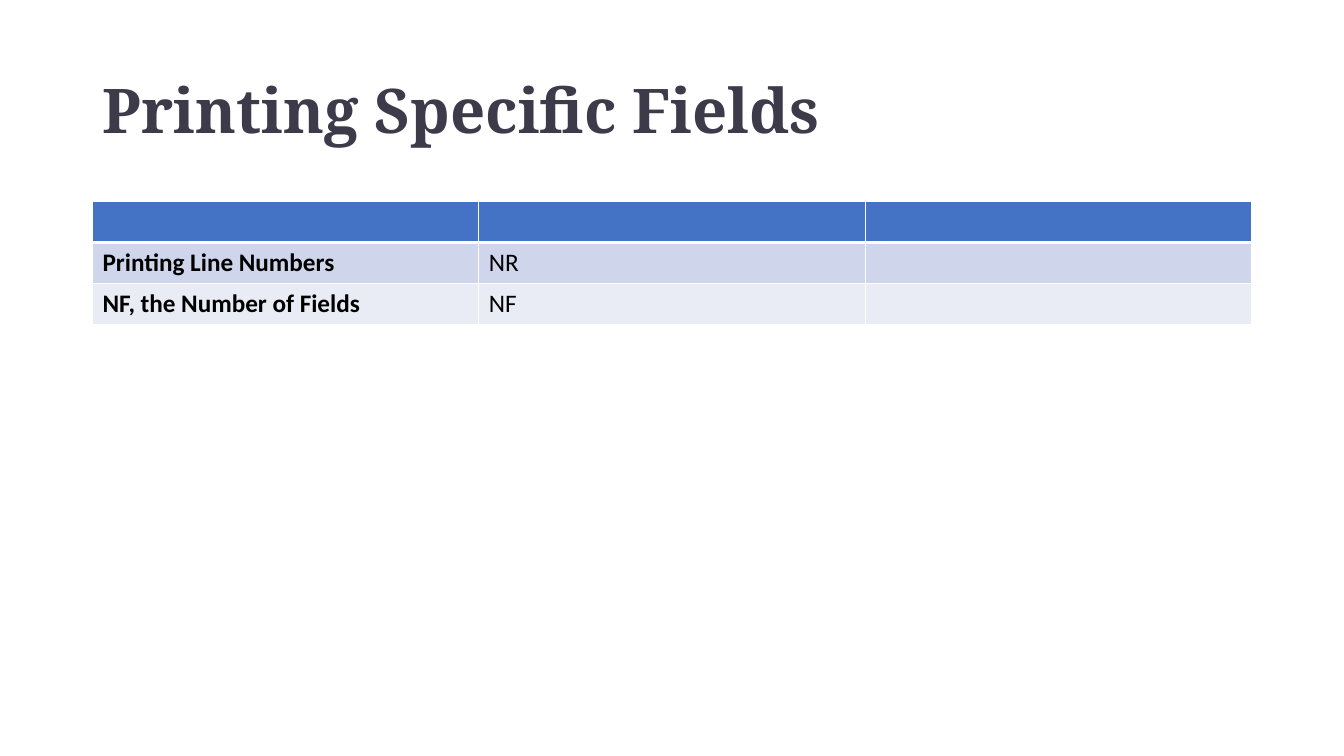
import pptx
import pptx.util
import pptx.dml.color
import pptx.enum.text
import pptx.oxml
from pptx.util import Cm

LEFT, WIDTH = Cm(2.33), Cm(29.21)
ROW = Cm(1.03)
WHITE = "FFFFFF"
FILLS = ["4472C4", "CFD5EA", "E9EBF5"]
ROWS = [
    ["", "", ""],
    ["Printing Line Numbers", "NR", ""],
    ["NF, the Number of Fields", "NF", ""],
]


def tint(item, color):
    item.rgb = pptx.dml.color.RGBColor.from_string(color)


def add_run(para, text, font, size, color, bold):
    run = para.add_run()
    run.text = text
    run.font.name = font
    run.font.size = pptx.util.Pt(size)
    run.font.bold = bold
    tint(run.font.color, color)


def add_title(slide, text):
    box = slide.shapes.add_textbox(LEFT, Cm(1.01), WIDTH, Cm(3.68))
    frame = box.text_frame
    frame.word_wrap = True
    frame.vertical_anchor = pptx.enum.text.MSO_ANCHOR.MIDDLE
    para = frame.paragraphs[0]
    para.line_spacing = 0.9
    add_run(para, text, "Noto Serif", 44, "3D3B49", True)


def add_edge(cell, side, points):
    """Draw one white border; call before the cell is filled."""
    space = "http://schemas.openxmlformats.org/drawingml/2006/main"
    line = pptx.oxml.parse_xml(
        f'<a:ln{side} xmlns:a="{space}" w="{pptx.util.Pt(points)}">'
        f'<a:solidFill><a:srgbClr val="{WHITE}"/></a:solidFill></a:ln{side}>'
    )
    cell._tc.get_or_add_tcPr().append(line)


def style_cell(cell, row):
    heavy = {(0, "B"), (1, "T")}
    for side in "LRTB":
        add_edge(cell, side, 3 if (row, side) in heavy else 1)
    cell.fill.solid()
    tint(cell.fill.fore_color, FILLS[row])


def add_grid(slide, rows):
    high, wide = len(rows), len(rows[0])
    frame = slide.shapes.add_table(high, wide, LEFT, Cm(5.08), WIDTH, ROW * high)
    table = frame.table
    for line in table.rows:
        line.height = ROW
    for r, texts in enumerate(rows):
        for c, text in enumerate(texts):
            cell = table.cell(r, c)
            style_cell(cell, r)
            if text:
                para = cell.text_frame.paragraphs[0]
                add_run(para, text, "Calibri", 18, "000000", c == 0)


def main():
    deck = pptx.Presentation()
    deck.slide_width, deck.slide_height = Cm(33.87), Cm(19.05)
    slide = deck.slides.add_slide(deck.slide_layouts[6])
    add_title(slide, "Printing Specific Fields")
    add_grid(slide, ROWS)
    deck.save("out.pptx")


if __name__ == "__main__":
    main()
